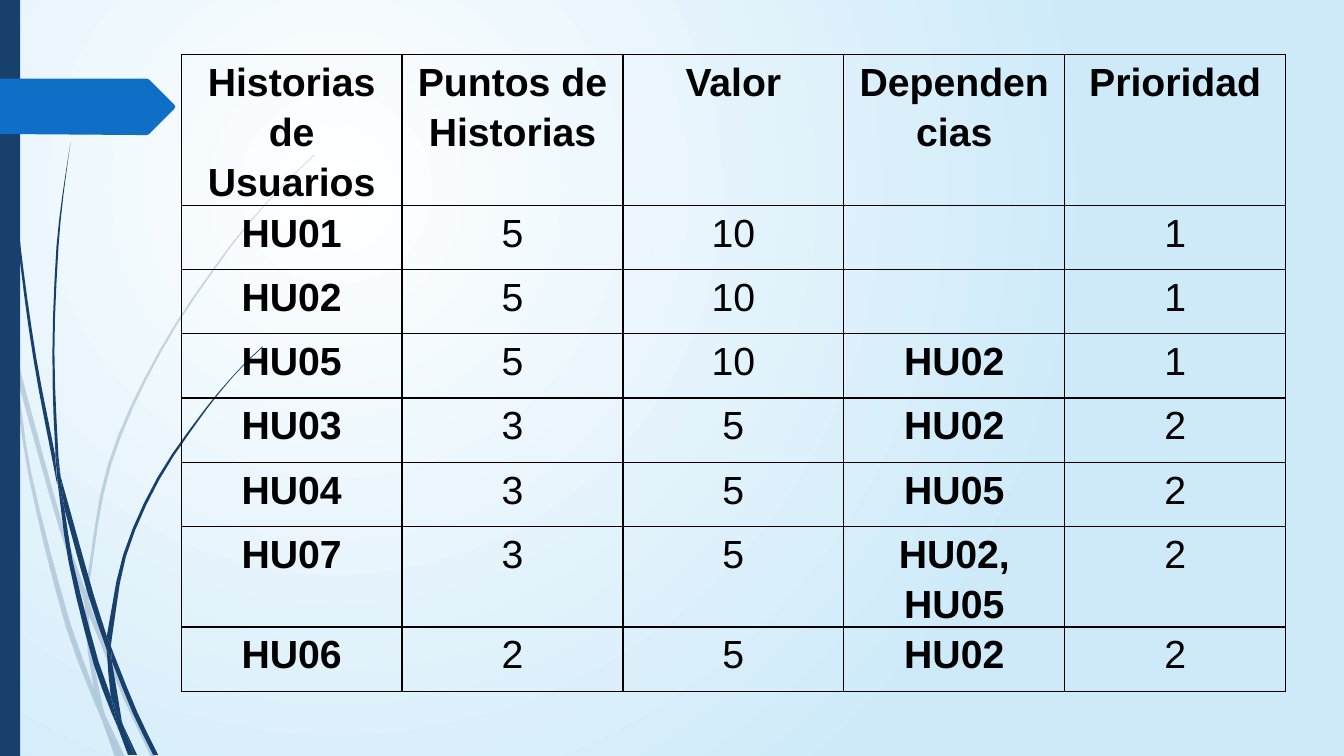
from math import dist

from lxml.etree import SubElement
from pptx import Presentation
from pptx.dml.color import RGBColor
from pptx.enum.shapes import MSO_SHAPE as Shape
from pptx.enum.text import PP_ALIGN as Align
from pptx.oxml.ns import qn
from pptx.util import Pt

COLORS = {"white": "FFFFFF", "sky": "CEEAF9", "navy": "17406D",
          "blue": "0F6FC6", "black": "000000"}
UNIT = 0.72  # points in one step of the drawing grid

# Each blade of grass is a list of edges; points are in grid steps.
PALE_BLADES = [
    [[(11, 350), (9, 322), (0, 282)], [(0, 299), (10, 344), (11, 350)]],
    [[(17, 376), (58, 522), (84, 599)], [(85, 586), (62, 520), (14, 345)]],
    [[(88, 610), (123, 694), (150, 751)], [(155, 751), (127, 692), (92, 607), (88, 596)]],
    [[(124, 751), (105, 711)], [(119, 751)]],
    [[(11, 350), (28, 470), (65, 621), (92, 693), (101, 714)],
     [(99, 707), (93, 683), (70, 619), (31, 469), (17, 376), (11, 350)]],
    [[(84, 599), (87, 646), (93, 683), (96, 692), (105, 711)],
     [(103, 706), (91, 646), (88, 610), (88, 608), (84, 599)]],
    [[(88, 596), (88, 584), (110, 462), (160, 349), (229, 245), (268, 198), (290, 175),
      (312, 154)],
     [(312, 153), (289, 175), (268, 197), (228, 244), (158, 348), (107, 461), (85, 584),
      (85, 586)]],
    [[(101, 714), (114, 751)], [(119, 751)]],
    [[(88, 608), (88, 610)], [(88, 596), (85, 586)], [(84, 599)]],
    [[(93, 683), (99, 707), (101, 714), (119, 751)], [(105, 711), (96, 692)]],
]
DARK_BLADES = [
    [[(3, 0), (4, 48), (7, 110), (17, 233), (33, 355), (56, 477), (57, 481)],
     [(55, 457), (55, 453), (36, 355), (19, 232), (8, 109), (5, 48), (4, 0)]],
    [[(64, 505), (88, 592), (106, 645)], [(106, 633), (106, 631), (93, 590), (60, 472)]],
    [[(111, 656), (132, 708), (152, 749)], [(157, 749), (136, 706), (113, 649), (110, 641)]],
    [[(57, 477), (68, 557), (93, 659), (111, 708), (117, 722)],
     [(116, 717), (110, 691), (98, 657), (72, 556), (64, 505), (57, 477)]],
    [[(60, 472), (58, 453), (54, 349), (58, 245), (63, 193), (70, 141)],
     [(70, 141), (62, 193), (56, 245), (52, 349), (55, 449), (60, 472)]],
    [[(133, 749), (136, 749)], [(122, 719)]],
    [[(57, 477), (64, 505)], [(60, 472), (55, 449), (55, 453)]],
    [[(110, 641), (111, 633), (125, 552), (158, 476), (205, 406), (231, 374), (245, 359),
      (261, 344)],
     [(260, 344), (245, 358), (231, 373), (204, 405), (156, 474), (122, 551), (106, 631)]],
    [[(117, 722), (127, 749)], [(131, 749)]],
    [[(106, 645), (110, 691), (116, 706), (122, 719)],
     [(121, 716), (111, 656), (109, 651), (106, 645)]],
    [[(106, 645), (109, 651), (111, 656)], [(110, 641), (106, 631), (106, 633)]],
    [[(110, 691), (116, 717), (117, 722), (130, 749)], [(133, 749), (122, 719), (116, 706)]],
]
ARROW_CORNERS = [(0, 78), (146, 78), (148, 79), (173, 104), (174, 106), (173, 108),
                 (148, 133), (146, 134), (136, 134), (0, 133)]

STORIES = [
    ["Historias de Usuarios", "Puntos de Historias", "Valor", "Dependencias", "Prioridad"],
    ["HU01", "5", "10", "", "1"],
    ["HU02", "5", "10", "", "1"],
    ["HU05", "5", "10", "HU02", "1"],
    ["HU03", "3", "5", "HU02", "2"],
    ["HU04", "3", "5", "HU05", "2"],
    ["HU07", "3", "5", "HU02, HU05", "2"],
    ["HU06", "2", "5", "HU02", "2"],
]
BOLD_COLUMNS = (0, 3)


def smooth(edge, step_length=40):
    """Return points of a smooth curve that passes through every point of the edge."""
    slopes = []
    for index in range(len(edge)):
        near = edge[max(index - 1, 0):index + 2]
        length = sum(dist(a, b) for a, b in zip(near, near[1:])) or 1
        slopes.append([(end - start) / length for start, end in zip(near[0], near[-1])])
    points = [edge[0]]
    for a, b, slope_a, slope_b in zip(edge, edge[1:], slopes, slopes[1:]):
        length = dist(a, b)
        steps = 1 + int(length / step_length)
        for step in range(1, steps + 1):
            t = step / steps
            weight = t * t * (3 - 2 * t)
            pull_a, pull_b = length * t * (1 - t) ** 2, length * t * t * (t - 1)
            points.append([a[k] + weight * (b[k] - a[k]) + pull_a * slope_a[k]
                           + pull_b * slope_b[k] for k in (0, 1)])
    return points


class SlideBuilder:
    font_name = "Arial"
    font_size = Pt(28)
    line_spacing = 1.15

    def __init__(self, slide):
        self.slide = slide

    def color(self, name):
        return RGBColor.from_string(COLORS[name])

    def background(self, inner, outer):
        """Fill the slide with a round gradient centred in its upper left quarter."""
        fill = self.slide.background.fill
        fill.gradient()
        for stop, name, position in zip(fill.gradient_stops, (inner, outer), (0, 1)):
            stop.color.rgb = self.color(name)
            stop.position = position
        linear = self.slide.element.find(".//" + qn("a:lin"))
        gradient = linear.getparent()
        gradient.remove(linear)
        circle = SubElement(gradient, qn("a:path"), path="circle")
        SubElement(circle, qn("a:fillToRect"), l="50000", t="50000", r="100000", b="100000")

    def paint(self, shape, color, opacity=100):
        shape.shadow.inherit = False
        shape.fill.solid()
        shape.fill.fore_color.rgb = self.color(color)
        shape.line.fill.background()
        if opacity < 100:
            rgb = shape.fill._xPr.find(".//" + qn("a:srgbClr"))
            SubElement(rgb, qn("a:alpha"), val=str(opacity * 1000))

    def rectangle(self, left, top, width, height, color):
        shape = self.slide.shapes.add_shape(
            Shape.RECTANGLE, Pt(left), Pt(top), Pt(width), Pt(height))
        self.paint(shape, color)

    def outline(self, edges, color, opacity=100):
        """Draw a closed shape whose edges are smooth and meet at corners."""
        points = [(Pt(x * UNIT), Pt(y * UNIT)) for edge in edges for x, y in smooth(edge)]
        builder = self.slide.shapes.build_freeform(*points[0])
        builder.add_line_segments(points[1:], close=True)
        self.paint(builder.convert_to_shape(), color, opacity)

    def table(self, left, top, column_width, row_heights, rows, bold_columns):
        columns = len(rows[0])
        table = self.slide.shapes.add_table(
            len(rows), columns, Pt(left), Pt(top),
            Pt(column_width * columns), Pt(sum(row_heights))).table
        table.first_row = table.horz_banding = False
        for column in table.columns:
            column.width = Pt(column_width)
        for row_index, (texts, height) in enumerate(zip(rows, row_heights)):
            table.rows[row_index].height = Pt(height)
            for column_index, text in enumerate(texts):
                bold = row_index == 0 or column_index in bold_columns
                self.cell(table.cell(row_index, column_index), text, bold)

    def cell(self, cell, text, bold):
        cell.margin_left = cell.margin_right = Pt(5)
        cell.margin_top = cell.margin_bottom = 0
        cell.text = text
        paragraph = cell.text_frame.paragraphs[0]
        paragraph.alignment = Align.CENTER
        paragraph.line_spacing = self.line_spacing
        font = paragraph.font
        font.name, font.size, font.bold = self.font_name, self.font_size, bold
        font.color.rgb = self.color("black")
        properties = cell._tc.get_or_add_tcPr()
        for side in ("a:lnL", "a:lnR", "a:lnT", "a:lnB"):
            border = SubElement(properties, qn(side), w=str(Pt(1)))
            fill = SubElement(border, qn("a:solidFill"))
            SubElement(fill, qn("a:srgbClr"), val=COLORS["black"])
        cell.fill.background()


def main():
    presentation = Presentation()
    presentation.slide_width, presentation.slide_height = Pt(960), Pt(540)
    builder = SlideBuilder(presentation.slides.add_slide(presentation.slide_layouts[6]))

    builder.background("white", "sky")
    for blade in PALE_BLADES:
        builder.outline(blade, "navy", opacity=20)
    for blade in DARK_BLADES:
        builder.outline(blade, "navy")
    builder.rectangle(0, 0, 14.4, 540, "navy")
    builder.outline([[corner] for corner in ARROW_CORNERS], "blue")
    builder.table(129.4, 38.9, 157.8, [91.4] + [45.9] * 7, STORIES, BOLD_COLUMNS)

    presentation.save("out.pptx")


if __name__ == "__main__":
    main()
